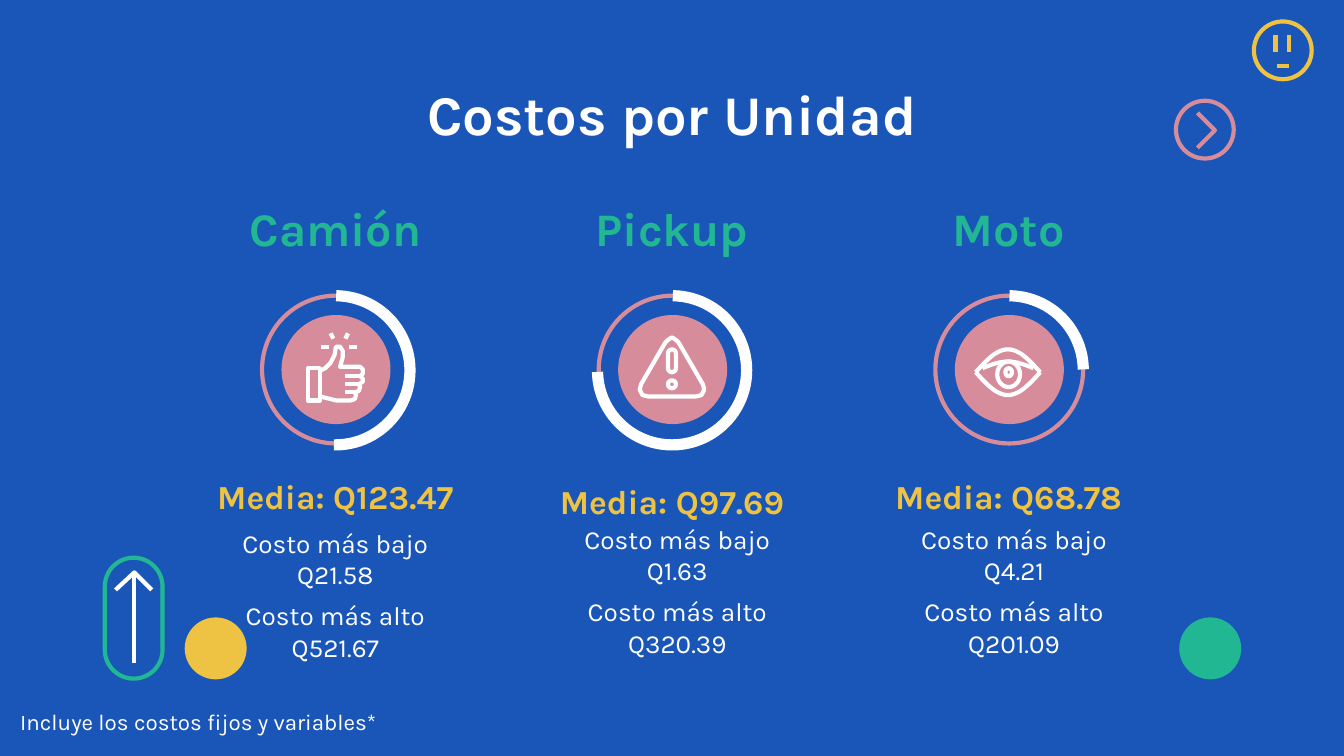
from math import cos, pi
from pptx import Presentation
from pptx.dml.color import RGBColor as Rgb
from pptx.enum.shapes import MSO_SHAPE as Kind, MSO_CONNECTOR as Link
from pptx.enum.text import MSO_ANCHOR as Anchor, PP_ALIGN as Align
from pptx.oxml.ns import qn
from pptx.util import Inches, Pt
from lxml.etree import SubElement

theme = {
    "font": "Karla", "blue": "1A56B8", "green": "21B793", "gold": "EEC242",
    "pink": "D78C9B", "white": "FFFFFF",
    "title": 30, "head": 25, "mean": 18, "body": 14, "note": 12,
    "thin": 2.25, "thick": 6,
}

deck = Presentation()
deck.slide_width = Inches(10)
deck.slide_height = deck.slide_width * 9 // 16
slide = deck.slides.add_slide(deck.slide_layouts[6])
slide.background.fill.solid()
slide.background.fill.fore_color.rgb = Rgb.from_string(theme["blue"])
shapes = slide.shapes


def draw(kind, spots, color, fill=False, width="thin"):
    if kind == "line":
        item = shapes.add_connector(Link.STRAIGHT, *map(Inches, spots))
    elif kind == "path":
        dots = [(round(x * 1000), round(y * 1000)) for x, y in spots]
        pen = shapes.build_freeform(*dots[0], scale=Inches(1) / 1000)
        pen.add_line_segments(dots[1:], close=False)
        item = pen.convert_to_shape()
    else:
        item = shapes.add_shape(kind, *map(Inches, spots))
    tone = Rgb.from_string(theme[color])
    item.line.color.rgb = tone
    item.line.width = Pt(theme[width])
    if kind == "line":
        SubElement(item._element.spPr, qn("a:effectLst"))
        return item
    item.shadow.inherit = False
    if fill:
        item.fill.solid()
        item.fill.fore_color.rgb = tone
    else:
        item.fill.background()
    return item


def write(text, spots, size, color="white", bold=False, align=Align.CENTER, anchor=Anchor.MIDDLE):
    frame = shapes.add_textbox(*map(Inches, spots)).text_frame
    frame.margin_left = frame.margin_right = frame.margin_top = frame.margin_bottom = 0
    frame.word_wrap = True
    frame.vertical_anchor = anchor
    frame.text = text
    for para in frame.paragraphs:
        para.alignment = align
        for run in para.runs:
            font = run.font
            font.name, font.size, font.bold = theme["font"], Pt(theme[size]), bold
            font.color.rgb = Rgb.from_string(theme[color])


draw(Kind.ROUNDED_RECTANGLE, (0.78, 4.15, 0.43, 0.9), "green").adjustments[0] = 0.5
draw("path", [(0.86, 4.39), (1, 4.26), (1.13, 4.39)], "white")
draw("line", (1, 4.26, 1, 4.93), "white")
draw(Kind.OVAL, (8.79, 4.61, 0.43, 0.43), "green", True)
draw(Kind.OVAL, (1.39, 4.61, 0.43, 0.43), "gold", True)
draw(Kind.OVAL, (9.33, 0.16, 0.43, 0.43), "gold")
for face in [(9.49, 0.39, 9.49, 0.26), (9.59, 0.39, 9.59, 0.26), (9.5, 0.49, 9.59, 0.49)]:
    draw("line", face, "gold")
draw(Kind.OVAL, (8.75, 0.75, 0.43, 0.43), "pink")
draw("path", [(8.91, 1.1), (9.04, 0.97), (8.91, 0.84)], "pink")

write("Costos por Unidad", (0.78, 0.59, 8.44, 0.52), "title", bold=True, anchor=Anchor.TOP)
write("Incluye los costos fijos y variables*", (0.15, 5.21, 2.89, 0.32), "note", align=Align.LEFT)

units = [
    ("Camión", "Q123.47", "Q21.58", "Q521.67", 271.1, 0, 3.53, 3.92),
    ("Pickup", "Q97.69", "Q1.63", "Q320.39", 358.7, 0.04, 3.57, 3.89),
    ("Moto", "Q68.78", "Q4.21", "Q201.09", 179.3, 0.04, 3.53, 3.89),
]
for col, (name, mean, low, high, end, shift, top, base) in enumerate(units):
    mid = 2.5 + 2.505 * col
    left = mid - 1.18
    write(name, (left, 1.5, 2.35, 0.39), "head", "green", True)
    draw(Kind.OVAL, (mid - 0.39, 2.36, 0.78, 0.78), "pink", True)
    draw(Kind.OVAL, (mid - 0.55, 2.2, 1.1, 1.1), "pink")
    arc = draw(Kind.ARC, (mid - 0.56, 2.2, 1.11, 1.11), "white", width="thick")
    arc.rotation = 180
    arc.adjustments[0], arc.adjustments[1] = 90.6 * 0.6, end * 0.6
    write("Media: " + mean, (left, top, 2.35, 0.32), "mean", "gold", True)
    for row, (label, cost) in enumerate([("bajo", low), ("alto", high)]):
        write(f"Costo más {label}\n{cost}", (left + shift, base + 0.54 * row, 2.35, 0.47), "body")

draw(Kind.RECTANGLE, (2.29, 2.74, 0.09, 0.24), "white")
thumb = [
    (2.38, 2.76), (2.42, 2.74), (2.46, 2.7), (2.49, 2.64), (2.5, 2.58), (2.53, 2.58),
    (2.55, 2.61), (2.55, 2.66), (2.53, 2.73), (2.68, 2.73), (2.7, 2.75), (2.7, 2.78),
    (2.68, 2.8), (2.7, 2.82), (2.7, 2.84), (2.67, 2.86), (2.68, 2.88), (2.67, 2.91),
    (2.64, 2.92), (2.65, 2.94), (2.64, 2.97), (2.61, 2.98), (2.5, 2.98), (2.38, 2.95),
]
draw("path", thumb, "white")
marks = [
    (2.57, 2.8, 2.68, 2.8), (2.57, 2.86, 2.67, 2.86), (2.57, 2.92, 2.64, 2.92),
    (2.46, 2.48, 2.48, 2.52), (2.59, 2.48, 2.57, 2.52),
    (2.39, 2.58, 2.45, 2.58), (2.6, 2.58, 2.66, 2.58),
]
for mark in marks:
    draw("line", mark, "white")

sign = [
    (4.97, 2.53), (5, 2.51), (5.03, 2.53), (5.05, 2.55), (5.23, 2.86), (5.24, 2.9),
    (5.22, 2.94), (5.18, 2.95), (4.82, 2.95), (4.78, 2.94), (4.76, 2.9), (4.77, 2.86),
    (4.95, 2.55), (4.97, 2.53),
]
draw("path", sign, "white")
draw(Kind.ROUNDED_RECTANGLE, (4.97, 2.6, 0.06, 0.17), "white").adjustments[0] = 0.5
draw(Kind.OVAL, (4.97, 2.83, 0.06, 0.06), "white")

steps = [k / 12 for k in range(-12, 13)]
for reach, rise, base in [(0.24, -0.17, 2.77), (0.24, 0.17, 2.77), (0.19, -0.05, 2.74)]:
    lid = [(7.5 + reach * t, base + rise * cos(t * pi / 2)) for t in steps]
    draw("path", lid, "white")
draw(Kind.OVAL, (7.42, 2.69, 0.17, 0.19), "white")
draw(Kind.OVAL, (7.48, 2.74, 0.05, 0.06), "white")

deck.save("out.pptx")
